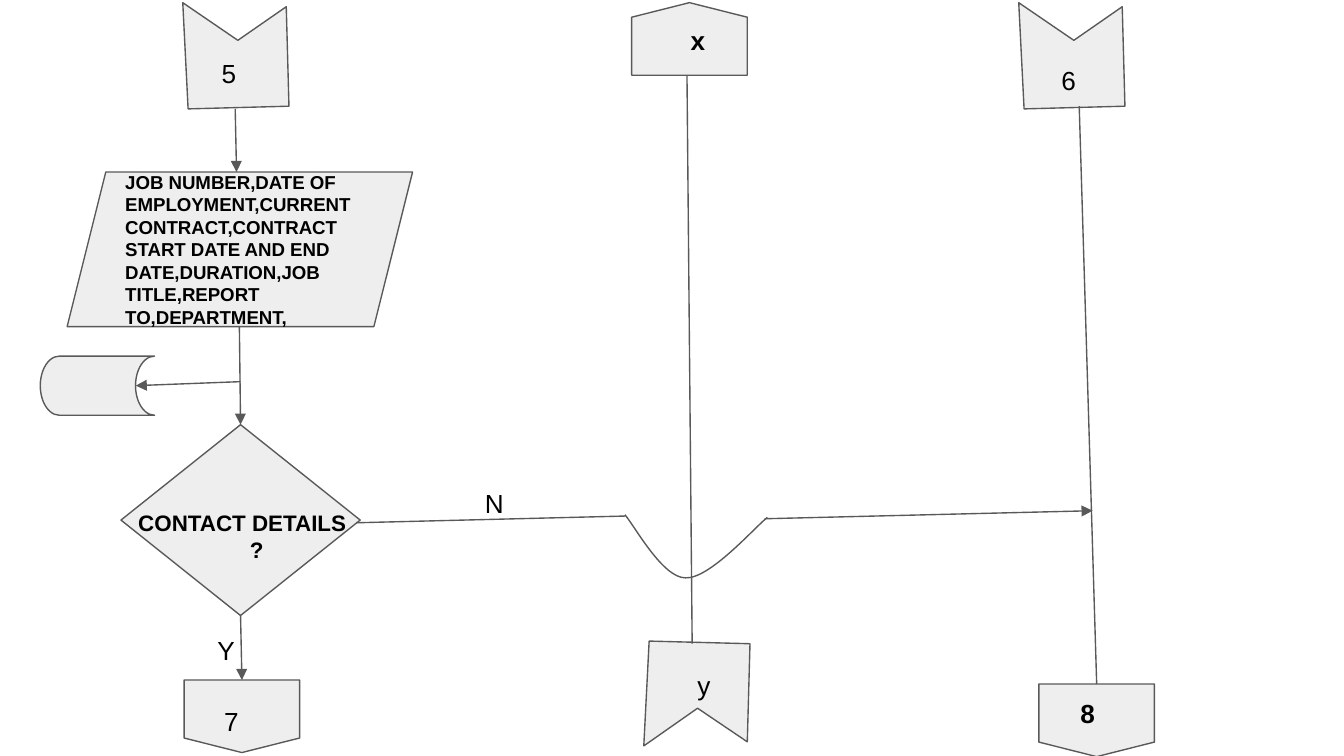
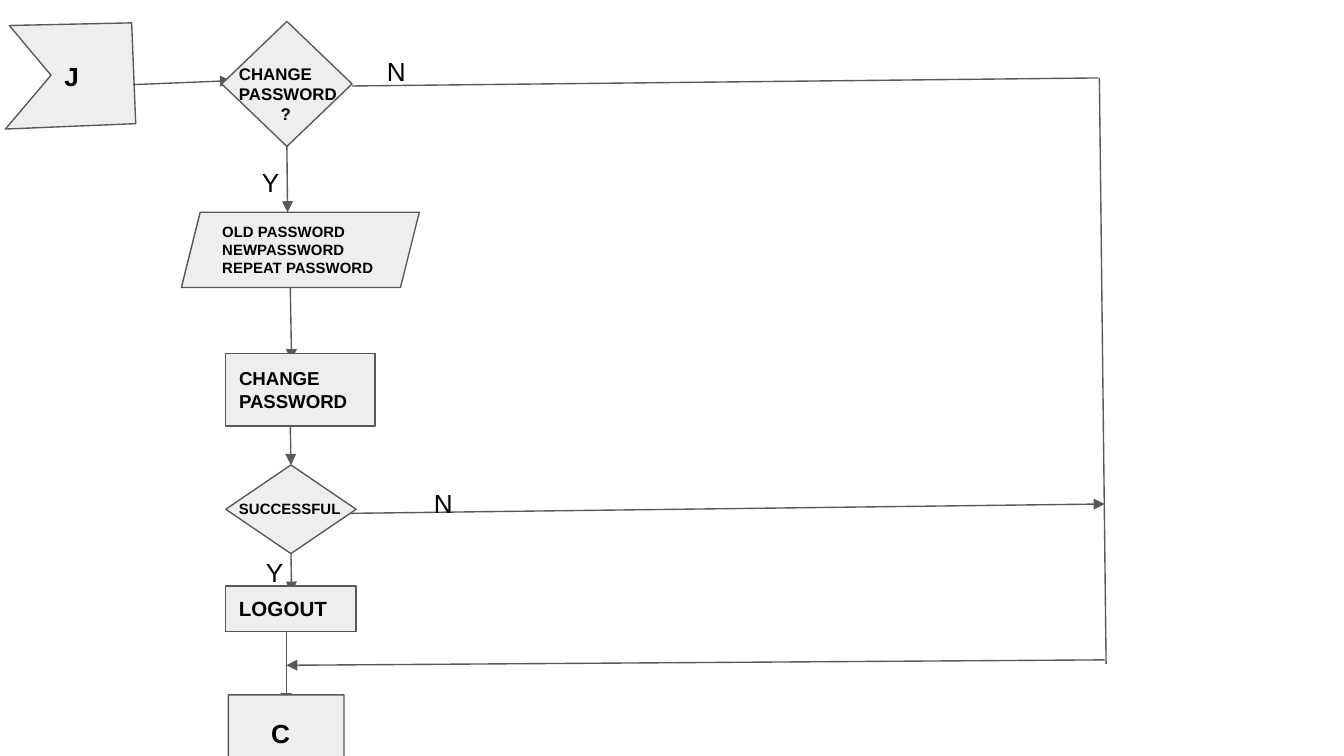
from dataclasses import dataclass
from typing import Any

from lxml.etree import SubElement
from pptx import Presentation
from pptx.dml.color import RGBColor
from pptx.enum.shapes import MSO_CONNECTOR, MSO_SHAPE
from pptx.enum.text import MSO_ANCHOR, PP_ALIGN
from pptx.oxml.ns import qn
from pptx.util import Inches, Pt

FILL = "EEEEEE"
LINE = "595959"
INK = "000000"
FONT = "Arial"
TOP, LEFT, BOTTOM, RIGHT = range(4)


def color(value):
    return RGBColor.from_string(value)


def paint(shape, filled=True):
    shape.shadow.inherit = False
    if filled:
        shape.fill.solid()
        shape.fill.fore_color.rgb = color(FILL)
    else:
        shape.fill.background()
    shape.line.color.rgb = color(LINE)
    shape.line.width = Pt(0.75)


def write(shape, text, size=14, bold=False, indents=(), anchor=MSO_ANCHOR.MIDDLE,
          top=0.1, right=0.1):
    frame = shape.text_frame
    frame.word_wrap = True
    frame.vertical_anchor = anchor
    frame.margin_left = frame.margin_bottom = Inches(0.1)
    frame.margin_top = Inches(top)
    frame.margin_right = Inches(right)
    for index, line in enumerate(text.split("\n")):
        para = frame.add_paragraph() if index else frame.paragraphs[0]
        para.alignment = PP_ALIGN.LEFT
        if indents:
            properties = para._p.get_or_add_pPr()
            properties.set("marL", str(Inches(indents[index])))
            properties.set("indent", "0")
        span = para.add_run()
        span.text = line
        span.font.name = FONT
        span.font.size = Pt(size)
        span.font.bold = bold
        span.font.color.rgb = color(INK)


@dataclass
class Region:
    page: Any
    left: float
    top: float

    def point(self, x, y):
        return Inches(self.left + x), Inches(self.top + y)

    def node(self, kind, box, text="", **style):
        x, y, width, height = box
        shape = self.page.shapes.add_shape(
            kind, *self.point(x, y), Inches(width), Inches(height))
        paint(shape)
        if text:
            write(shape, text, **style)
        return shape

    def label(self, box, text, **style):
        x, y, width, height = box
        shape = self.page.shapes.add_textbox(
            *self.point(x, y), Inches(width), Inches(height))
        write(shape, text, anchor=MSO_ANCHOR.TOP, right=0, **style)

    def outline(self, points, closed=True):
        start, *rest = [self.point(x, y) for x, y in points]
        builder = self.page.shapes.build_freeform(*start)
        builder.add_line_segments(rest, close=closed)
        shape = builder.convert_to_shape()
        paint(shape, filled=closed)
        return shape

    def curve(self, points):
        shape = self.outline(points, closed=False)
        route = next(shape._element.iter(qn("a:path")))
        segments = route.findall(qn("a:lnTo"))
        for first in range(0, len(segments), 3):
            bend = SubElement(route, qn("a:cubicBezTo"))
            for segment in segments[first:first + 3]:
                bend.append(segment[0])
                route.remove(segment)

    def link(self, start, end, arrow=True, source=None, target=None):
        connector = self.page.shapes.add_connector(
            MSO_CONNECTOR.STRAIGHT, *self.point(*start), *self.point(*end))
        if source:
            connector.begin_connect(*source)
        if target:
            connector.end_connect(*target)
        connector.line.color.rgb = color(LINE)
        connector.line.width = Pt(0.75)
        if arrow:
            SubElement(connector.line._get_or_add_ln(), qn("a:tailEnd"), type="triangle")
        SubElement(connector._element.spPr, qn("a:effectLst"))


def notched_entry(region):
    region.outline([(0.79, 0.77), (0.77, 0.03), (0.41, 0.28), (0, 0), (0.04, 0.79)])


def employment_steps(region):
    notched_entry(Region(region.page, region.left + 1.06, region.top + 0.02))
    region.link((1.45, 0.81), (1.46, 1.28))
    contact = region.node(MSO_SHAPE.DIAMOND, (0.6, 3.16, 1.78, 1.42))
    region.link((1.48, 2.34), (1.49, 3.16), target=(contact, TOP))
    region.node(MSO_SHAPE.FLOWCHART_STORED_DATA, (0, 2.65, 0.85, 0.44))
    region.link((1.49, 2.84), (0.71, 2.87))
    region.label((0.44, 3.69, 2.2, 0.6), "CONTACT DETAILS\n?",
                 size=12, bold=True, indents=(0.19, 1.02))
    next_page = region.node(MSO_SHAPE.FLOWCHART_OFFPAGE_CONNECTOR, (1.07, 5.06, 0.86, 0.54))
    region.link((1.49, 4.58), (1.5, 5.06), source=(contact, BOTTOM), target=(next_page, TOP))
    region.node(MSO_SHAPE.PARALLELOGRAM, (0.2, 1.28, 2.57, 1.15),
                "JOB NUMBER,DATE OF EMPLOYMENT,CURRENT CONTRACT,CONTRACT START DATE "
                "AND END DATE,DURATION,JOB TITLE,REPORT TO,DEPARTMENT,", size=10, bold=True)
    region.label((1.25, 0.33, 0.41, 0.43), "5")
    region.label((1.27, 5.15, 0.41, 0.43), "7")
    region.label((1.22, 4.62, 0.3, 0.43), "Y")


def exit_line(region):
    notched_entry(region)
    page_end = region.node(MSO_SHAPE.FLOWCHART_OFFPAGE_CONNECTOR, (0.15, 5.07, 0.86, 0.54),
                           "8", bold=True, indents=(0.21,))
    region.link((0.45, 0.77), (0.58, 5.07), arrow=False, target=(page_end, TOP))
    region.label((0.22, 0.36, 0.47, 0.43), "6")


def crossing_line(region):
    region.outline([(2.93, 4.77), (2.91, 5.5), (2.54, 5.25), (2.14, 5.53), (2.18, 4.75)])
    region.link((2.46, 0.36), (2.5, 4.77), arrow=False)
    entry = region.node(MSO_SHAPE.FLOWCHART_OFFPAGE_CONNECTOR, (2.05, 0, 0.86, 0.54),
                        "x", bold=True, indents=(0.34,), top=0.01)
    entry.rotation = 180
    entry.text_frame._txBody.bodyPr.set("rot", "10800000")
    region.link((0, 3.87), (2, 3.82), arrow=False)
    region.curve([(2, 3.81), (2.07, 3.89), (2.28, 4.28), (2.45, 4.28),
                  (2.63, 4.29), (2.96, 3.91), (3.06, 3.83)])
    region.link((3.04, 3.84), (5.48, 3.78))
    region.label((0.86, 3.51, 0.74, 0.43), "N")
    region.label((2.44, 4.86, 0.33, 0.43), "y")


def password_entry(region):
    region.outline([(0.94, 0), (0.03, 0.02), (0.34, 0.39), (0, 0.79), (0.97, 0.75)])
    region.label((0.34, 0.18, 0.29, 0.43), "J", bold=True)
    region.link((0.95, 0.46), (1.68, 0.43))


def password_steps(region):
    choice = region.node(MSO_SHAPE.DIAMOND, (0.3, 0.16, 0.97, 0.93))
    region.label((0.3, 0.37, 0.97, 0.65), "CHANGE\nPASSWORD\n?",
                 size=9, bold=True, indents=(0.03, 0.03, 0.34))
    region.link((0.78, 1.09), (0.79, 1.58), source=(choice, BOTTOM))
    region.node(MSO_SHAPE.PARALLELOGRAM, (0, 1.58, 1.77, 0.56),
                "OLD PASSWORD\nNEWPASSWORD\nREPEAT PASSWORD", size=8, bold=True)
    region.link((0.81, 2.14), (0.82, 2.68))
    region.node(MSO_SHAPE.RECTANGLE, (0.33, 2.63, 1.11, 0.54),
                "CHANGE\nPASSWORD", size=10, bold=True)
    success = region.node(MSO_SHAPE.DIAMOND, (0.33, 3.46, 0.97, 0.66))
    region.link((0.81, 3.17), (0.82, 3.46), target=(success, TOP))
    region.label((0.33, 3.65, 0.97, 0.33), "SUCCESSFUL", size=8, bold=True)
    region.link((0.81, 4.12), (0.82, 4.41), source=(success, BOTTOM))
    region.node(MSO_SHAPE.RECTANGLE, (0.33, 4.36, 0.97, 0.34), "LOGOUT", size=11, bold=True)
    region.link((0.78, 4.7), (0.78, 5.24))
    region.node(MSO_SHAPE.FLOWCHART_OFFPAGE_CONNECTOR, (0.35, 5.17, 0.86, 0.71),
                "C", bold=True, indents=(0.22,))
    for x, y in ((0.5, 1.14), (0.53, 4.04)):
        region.label((x, y, 0.29, 0.43), "Y")


def skip_branch(region):
    region.link((0.49, 0.06), (6.04, 0), arrow=False)
    region.link((6.05, 0), (6.1, 4.36), arrow=False)
    region.link((6.09, 4.33), (0, 4.37))
    region.link((0.48, 3.24), (6.09, 3.17))
    region.label((0.65, -0.27, 0.47, 0.43), "N")
    region.label((1, 2.95, 0.54, 0.43), "N")


def employment_page(page):
    employment_steps(Region(page, 0.3, 0))
    exit_line(Region(page, 7.58, 0.02))
    crossing_line(Region(page, 2.65, 0.02))


def password_page(page):
    password_entry(Region(page, 0.04, 0.17))
    password_steps(Region(page, 1.35, 0))
    skip_branch(Region(page, 2.13, 0.58))


def main():
    deck = Presentation()
    deck.slide_width = Inches(10)
    deck.slide_height = Inches(10 * 9 / 16)
    for build in (employment_page, password_page):
        build(deck.slides.add_slide(deck.slide_layouts[6]))
    deck.save("out.pptx")


if __name__ == "__main__":
    main()
